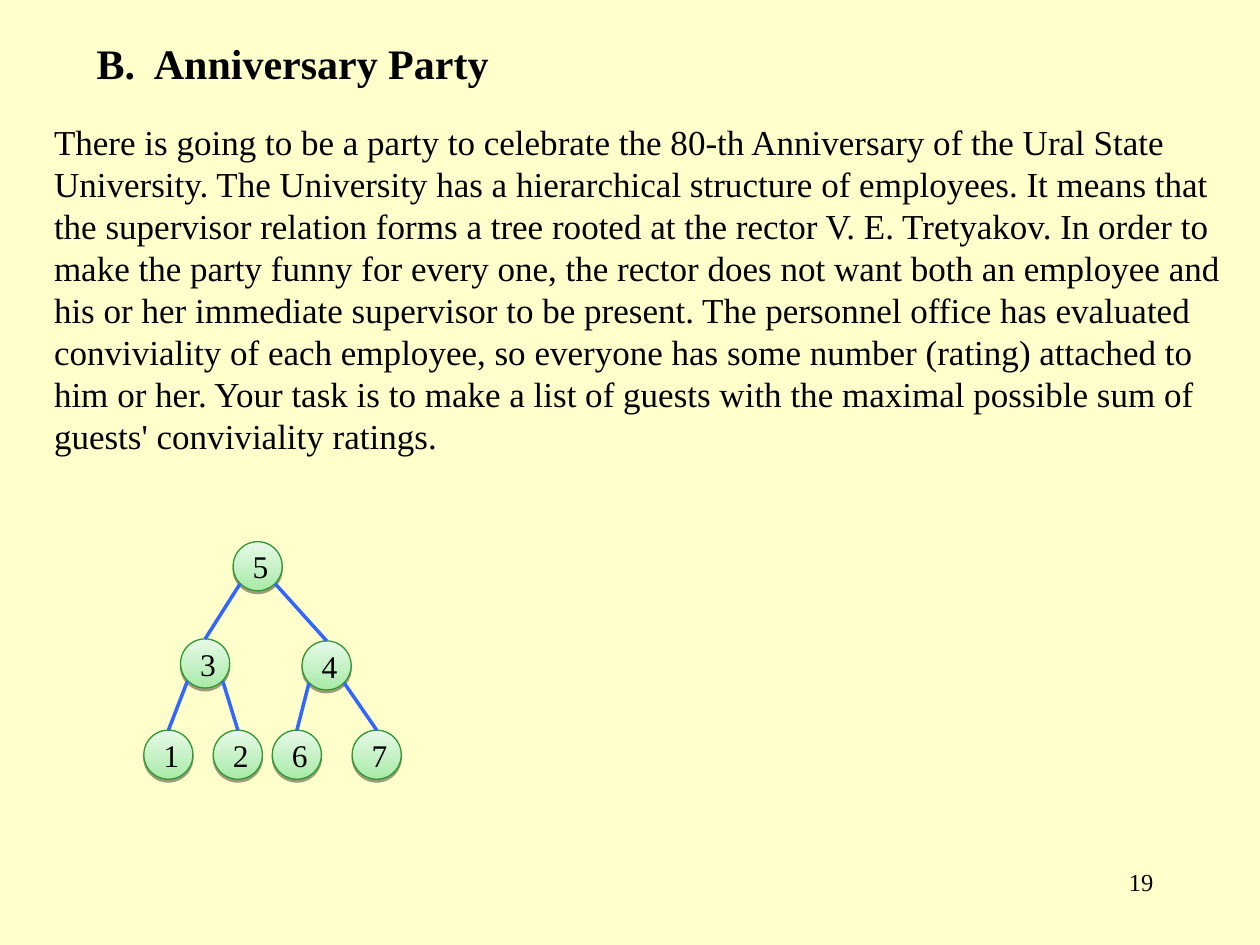
from lxml import etree
from pptx import Presentation
from pptx.dml.color import RGBColor
from pptx.enum.shapes import MSO_CONNECTOR as CON, MSO_SHAPE as SHP
from pptx.enum.text import MSO_ANCHOR, PP_ALIGN as AL
from pptx.oxml.ns import qn
from pptx.util import Cm, Pt

FONT = "Times New Roman"
NODE = 0.99
TITLE = "B.  Anniversary Party"
BODY = (
    "There is going to be a party to celebrate the 80-th Anniversary of the "
    "Ural State University. The University has a hierarchical structure of "
    "employees. It means that the supervisor relation forms a tree rooted at "
    "the rector V. E. Tretyakov. In order to make the party funny for every "
    "one, the rector does not want both an employee and his or her immediate "
    "supervisor to be present. The personnel office has evaluated conviviality "
    "of each employee, so everyone has some number (rating) attached to him or "
    "her. Your task is to make a list of guests with the maximal possible sum "
    "of guests' conviviality ratings."
)
NODES = {
    "5": (1.8, 0), "3": (0.74, 1.96), "4": (3.19, 2.0),
    "1": (0, 3.8), "2": (1.4, 3.8), "6": (2.59, 3.8), "7": (4.2, 3.8),
}
CHILDREN = {"5": "34", "3": "12", "4": "67"}


def rgb(value):
    """Return the colour of a hex string."""
    return RGBColor.from_string(value)


def write(tf, text, size, align=AL.LEFT, bold=False, before=0):
    """Write one paragraph into a text frame."""
    tf.word_wrap = True
    p = tf.paragraphs[0]
    p.alignment = align
    p.space_before = Pt(before)
    r = p.add_run()
    r.text = text
    r.font.name, r.font.size, r.font.bold = FONT, Pt(size), bold
    r.font.color.rgb = rgb("000000")


def add_text(s, box, text, size, inset=0.25, **style):
    """Place a text box with the given side inset."""
    tf = s.shapes.add_textbox(*map(Cm, box)).text_frame
    tf.margin_left = tf.margin_right = Cm(inset)
    write(tf, text, size, **style)


def add_shadow(sp):
    """Give a shape a hard shadow just below it."""
    sp.shadow.inherit = False
    effects = sp._element.spPr.find(qn("a:effectLst"))
    shadow = etree.SubElement(effects, qn("a:outerShdw"), blurRad="0",
                              dist=str(Pt(1.6)), dir="5400000", rotWithShape="0")
    color = etree.SubElement(shadow, qn("a:srgbClr"), val="000000")
    etree.SubElement(color, qn("a:alpha"), val="38000")


def add_node(s, x, y, label):
    """Draw one numbered tree node."""
    sp = s.shapes.add_shape(SHP.OVAL, Cm(x), Cm(y), Cm(NODE), Cm(NODE))
    sp.fill.gradient()
    sp.fill.gradient_angle = 90
    for stop, color in zip(sp.fill.gradient_stops, ("A8EAA8", "E8FAE8")):
        stop.color.rgb = rgb(color)
    sp.line.color.rgb = rgb("2F982F")
    sp.line.width = Pt(0.75)
    add_shadow(sp)
    sp.text_frame.vertical_anchor = MSO_ANCHOR.MIDDLE
    write(sp.text_frame, label, 18, AL.CENTER)


def add_edge(s, start, end):
    """Draw one branch of the tree."""
    line = s.shapes.add_connector(CON.STRAIGHT, *map(Cm, start + end))
    line.line.color.rgb = rgb("3366FF")
    line.line.width = Pt(2)
    etree.SubElement(line._element.spPr, qn("a:effectLst"))


def add_tree(s, left, top):
    """Draw the tree, joining lower node corners to the tops of children."""
    spots = {k: (left + x, top + y) for k, (x, y) in NODES.items()}
    for label, (x, y) in spots.items():
        add_node(s, x, y, label)
    for parent, children in CHILDREN.items():
        x, y = spots[parent]
        for child, across in zip(children, (0.14, 0.86)):
            cx, cy = spots[child]
            add_edge(s, (x + across * NODE, y + 0.86 * NODE), (cx + NODE / 2, cy))


def main():
    """Build the slide."""
    prs = Presentation()
    prs.slide_width, prs.slide_height = Cm(25.4), Cm(19.05)
    s = prs.slides.add_slide(prs.slide_layouts[6])
    s.background.fill.solid()
    s.background.fill.fore_color.rgb = rgb("FFFFCC")
    add_text(s, (18.2, 17.35, 5.3, 1.27), "19", 14, align=AL.RIGHT)
    add_text(s, (1.7, 0.64, 18.2, 1.27), TITLE, 24, bold=True, before=15)
    add_text(s, (1.09, 2.31, 23.6, 7.04), BODY, 20, inset=0, before=12.5)
    add_tree(s, 2.9, 10.92)
    prs.save("out.pptx")


if __name__ == "__main__":
    main()
